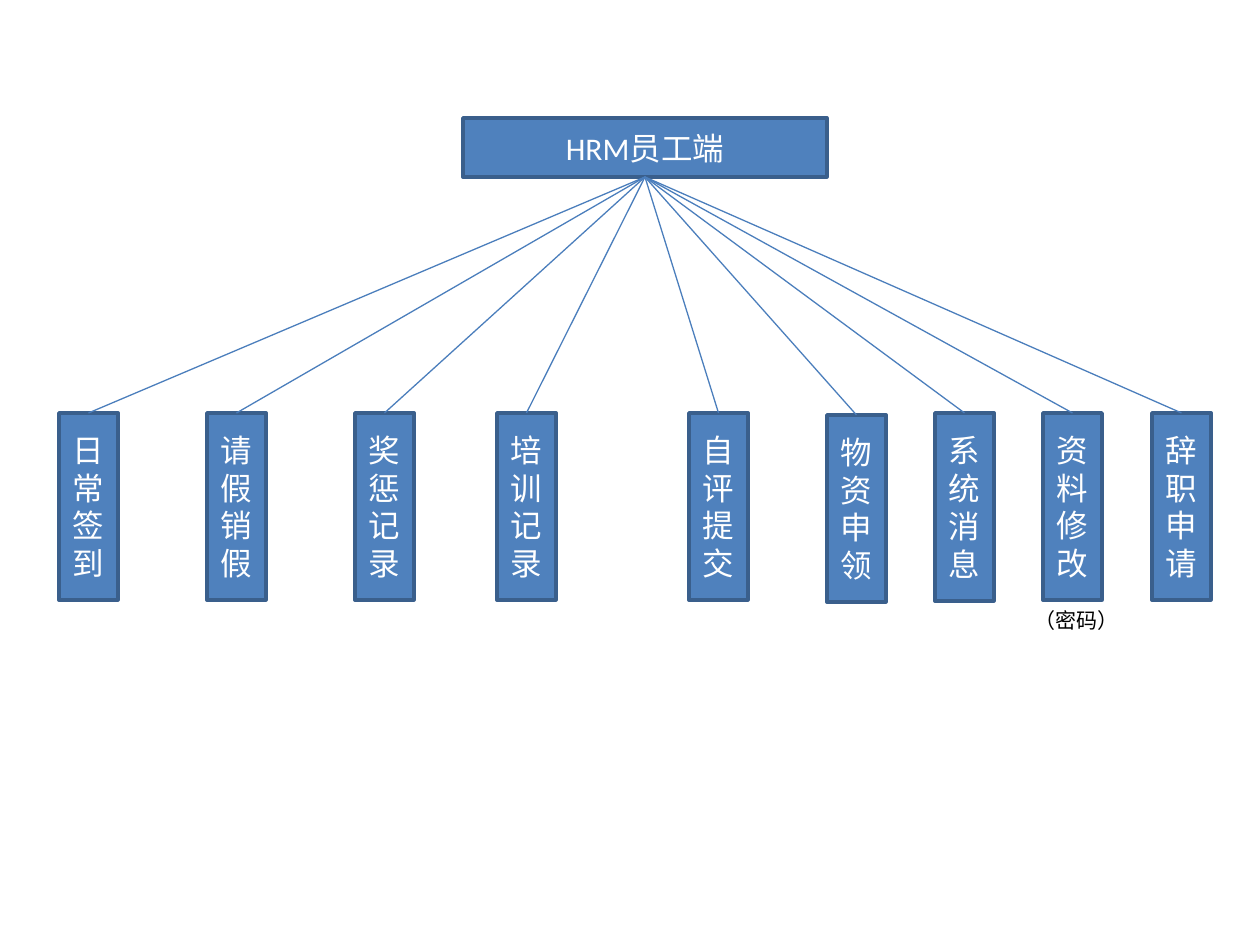
from dataclasses import dataclass

from lxml import etree
from pptx import Presentation
from pptx import util as u
from pptx.dml.color import RGBColor
from pptx.enum import shapes, text
from pptx.oxml import ns

PX_PER_INCH = 126
BLUE = RGBColor(0x4F, 0x81, 0xBD)
BORDER = RGBColor(0x3A, 0x5F, 0x8C)
BRANCH = RGBColor(0x4B, 0x7E, 0xBC)
WHITE = RGBColor(0xFF, 0xFF, 0xFF)
BLACK = RGBColor(0x00, 0x00, 0x00)
BOTTOM, TOP = 2, 0


@dataclass(frozen=True)
class Node:
    label: str
    left: int
    top: int = 413
    width: int = 59
    height: int = 187


ROOT = Node("HRM员工端", 463, 118, 364, 59)
FUNCTIONS = [
    Node("日常签到", 59),
    Node("请假销假", 207),
    Node("奖惩记录", 355),
    Node("培训记录", 497),
    Node("自评提交", 689),
    Node("物资申领", 827, top=415),
    Node("系统消息", 935, height=188),
    Node("资料修改", 1043),
    Node("辞职申请", 1152),
]
PASSWORD_NOTE = Node("（密码）", 1022, 601, 111, 38)


def px(length: int) -> u.Emu:
    return u.Emu(round(length * u.Inches(1) / PX_PER_INCH))


def bounds(node: Node) -> list[u.Emu]:
    return [px(n) for n in (node.left, node.top, node.width, node.height)]


def write(shape, label: str, *, size: int, color: RGBColor, align, anchor, wrap: bool) -> None:
    frame = shape.text_frame
    frame.word_wrap = wrap
    frame.vertical_anchor = anchor
    paragraph = frame.paragraphs[0]
    paragraph.alignment = align
    run = paragraph.add_run()
    run.text = label
    run.font.name = "Calibri"
    run.font.size = u.Pt(size)
    run.font.color.rgb = color


def draw_node(slide, node: Node):
    box = slide.shapes.add_shape(shapes.MSO_SHAPE.RECTANGLE, *bounds(node))
    box.shadow.inherit = False
    box.fill.solid()
    box.fill.fore_color.rgb = BLUE
    box.line.color.rgb = BORDER
    box.line.width = u.Pt(2)
    write(box, node.label, size=18, color=WHITE, align=text.PP_ALIGN.CENTER,
          anchor=text.MSO_ANCHOR.MIDDLE, wrap=True)
    return box


def draw_branch(slide, parent, child) -> None:
    branch = slide.shapes.add_connector(shapes.MSO_CONNECTOR.STRAIGHT, 0, 0, 0, 0)
    branch.begin_connect(parent, BOTTOM)
    branch.end_connect(child, TOP)
    branch.line.color.rgb = BRANCH
    branch.line.width = u.Pt(0.75)
    etree.SubElement(branch._element.spPr, ns.qn("a:effectLst"))


def draw_note(slide, note: Node) -> None:
    box = slide.shapes.add_textbox(*bounds(note))
    write(box, note.label, size=12, color=BLACK, align=text.PP_ALIGN.LEFT,
          anchor=text.MSO_ANCHOR.TOP, wrap=False)
    box.text_frame.auto_size = text.MSO_AUTO_SIZE.SHAPE_TO_FIT_TEXT


def main() -> None:
    deck = Presentation()
    deck.slide_width, deck.slide_height = px(1260), px(945)
    slide = deck.slides.add_slide(deck.slide_layouts[6])
    root = draw_node(slide, ROOT)
    for function in FUNCTIONS:
        draw_branch(slide, root, draw_node(slide, function))
    draw_note(slide, PASSWORD_NOTE)
    deck.save("out.pptx")


if __name__ == "__main__":
    main()
